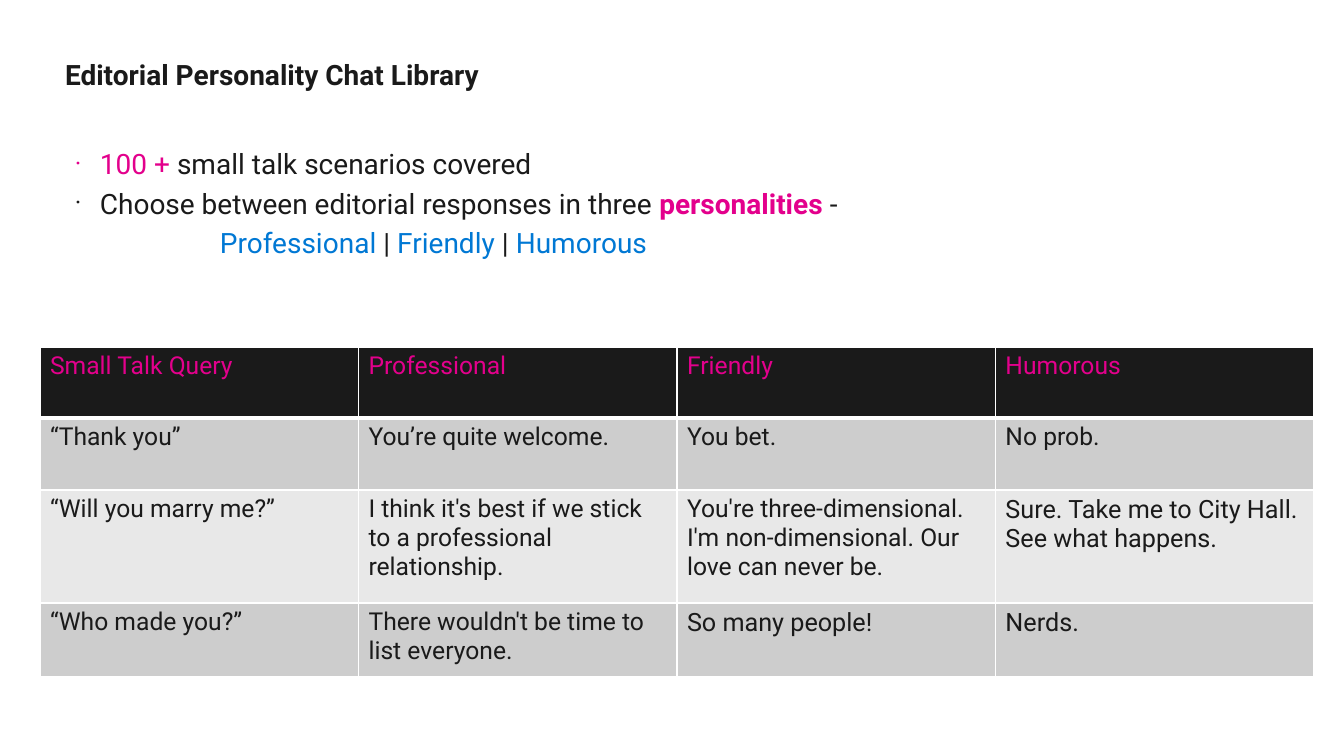
import dataclasses
import typing

import lxml.etree
import pptx
import pptx.dml.color
import pptx.enum.text
import pptx.oxml.ns
import pptx.util

SCALE = 914400 / 100.8
FONT = "Roboto"
INK, PINK, BLUE = "1A1A1A", "E3008C", "0078D4"
WHITE, GRAY, PALE = "FFFFFF", "CDCDCD", "E8E8E8"


@dataclasses.dataclass
class Run:
    text: str
    color: str = INK
    size: float = 20
    bold: bool = False


@dataclasses.dataclass
class Para:
    runs: list[Run]
    left: int = 0
    bullet: bool = False
    before: float = 4


@dataclasses.dataclass
class Row:
    height: int
    fill: str
    cells: list[Run]
    rule: float = 1


def small(text: str, color: str = INK) -> Run:
    return Run(text, color, 17.6)


def large(text: str) -> Run:
    return Run(text, INK, 18)


TITLE = [Para([Run("Editorial Personality Chat Library", bold=True)], before=0)]
POINTS = [
    Para([Run("100 + ", PINK), Run("small talk scenarios covered")], 25, True),
    Para([Run("Choose between editorial responses in three "),
          Run("personalities ", PINK, bold=True), Run("-")], 25, True),
    Para([Run("Professional", BLUE), Run(" | "), Run("Friendly", BLUE),
          Run(" | "), Run("Humorous", BLUE)], 145),
]
HEADS = ["Small Talk Query", "Professional", "Friendly", "Humorous"]
ROWS = [
    Row(71, INK, [small(head, PINK) for head in HEADS], 3),
    Row(72, GRAY, [small("“Thank you”"), small("You’re quite welcome."),
                   small("You bet."), small("No prob.")]),
    Row(113, PALE, [
        small("“Will you marry me?”"),
        small("I think it's best if we stick to a professional relationship."),
        small("You're three-dimensional. I'm non-dimensional. "
              "Our love can never be."),
        large("Sure. Take me to City Hall. See what happens.")]),
    Row(74, GRAY, [small("“Who made you?”"),
                   small("There wouldn't be time to list everyone."),
                   large("So many people!"), large("Nerds.")]),
]


def px(count: int) -> int:
    return round(count * SCALE)


def rgb(color: str) -> pptx.dml.color.RGBColor:
    return pptx.dml.color.RGBColor.from_string(color)


def node(home: typing.Any, tag: str, **attrs: str) -> typing.Any:
    part = lxml.etree.SubElement(home, pptx.oxml.ns.qn(tag))
    for name, value in attrs.items():
        part.set(name, value)
    return part


def add_run(para: typing.Any, item: Run) -> None:
    run = para.add_run()
    run.text = item.text
    run.font.name = FONT
    run.font.size = pptx.util.Pt(item.size)
    run.font.bold = item.bold
    run.font.color.rgb = rgb(item.color)


def add_text(slide: typing.Any, box: tuple[int, int, int, int],
             paras: list[Para]) -> typing.Any:
    frame = slide.shapes.add_textbox(*map(px, box)).text_frame
    frame.word_wrap = True
    for index, item in enumerate(paras):
        para = frame.add_paragraph() if index else frame.paragraphs[0]
        para.space_before = pptx.util.Pt(item.before)
        props = para._p.get_or_add_pPr()
        props.set("marL", str(px(item.left)))
        if item.bullet:
            props.set("indent", str(-px(item.left)))
            node(props, "a:buSzPct", val="90000")
            node(props, "a:buFont", typeface=FONT)
            node(props, "a:buChar", char="·")
        for run in item.runs:
            add_run(para, run)
    return frame


def add_rules(cell: typing.Any, base: float) -> None:
    props = cell._tc.get_or_add_tcPr()
    sides = [("a:lnL", 1), ("a:lnR", 1), ("a:lnT", 1), ("a:lnB", base)]
    for index, (tag, width) in enumerate(sides):
        line = node(props, tag, w=str(pptx.util.Pt(width)))
        node(node(line, "a:solidFill"), "a:srgbClr", val=WHITE)
        props.insert(index, line)


def add_grid(slide: typing.Any, box: tuple[int, int, int], rows: list[Row]) -> None:
    height = sum(row.height for row in rows)
    table = slide.shapes.add_table(
        len(rows), len(HEADS), *map(px, (*box, height))).table
    for index, row in enumerate(rows):
        table.rows[index].height = px(row.height)
        for cell, run in zip(table.rows[index].cells, row.cells):
            cell.fill.solid()
            cell.fill.fore_color.rgb = rgb(row.fill)
            add_rules(cell, row.rule)
            add_run(cell.text_frame.paragraphs[0], run)


def main() -> None:
    """Build the chat library slide and save it."""
    deck = pptx.Presentation()
    deck.slide_width, deck.slide_height = px(1344), px(756)
    slide = deck.slides.add_slide(deck.slide_layouts[6])
    title = add_text(slide, (65, 50, 607, 41), TITLE)
    title.margin_left = title.margin_top = title.margin_bottom = 0
    title.margin_right = px(7)
    title.vertical_anchor = pptx.enum.text.MSO_ANCHOR.BOTTOM
    add_text(slide, (65, 142, 1215, 170), POINTS)
    add_grid(slide, (40, 347, 1274), ROWS)
    deck.save("out.pptx")


if __name__ == "__main__":
    main()
